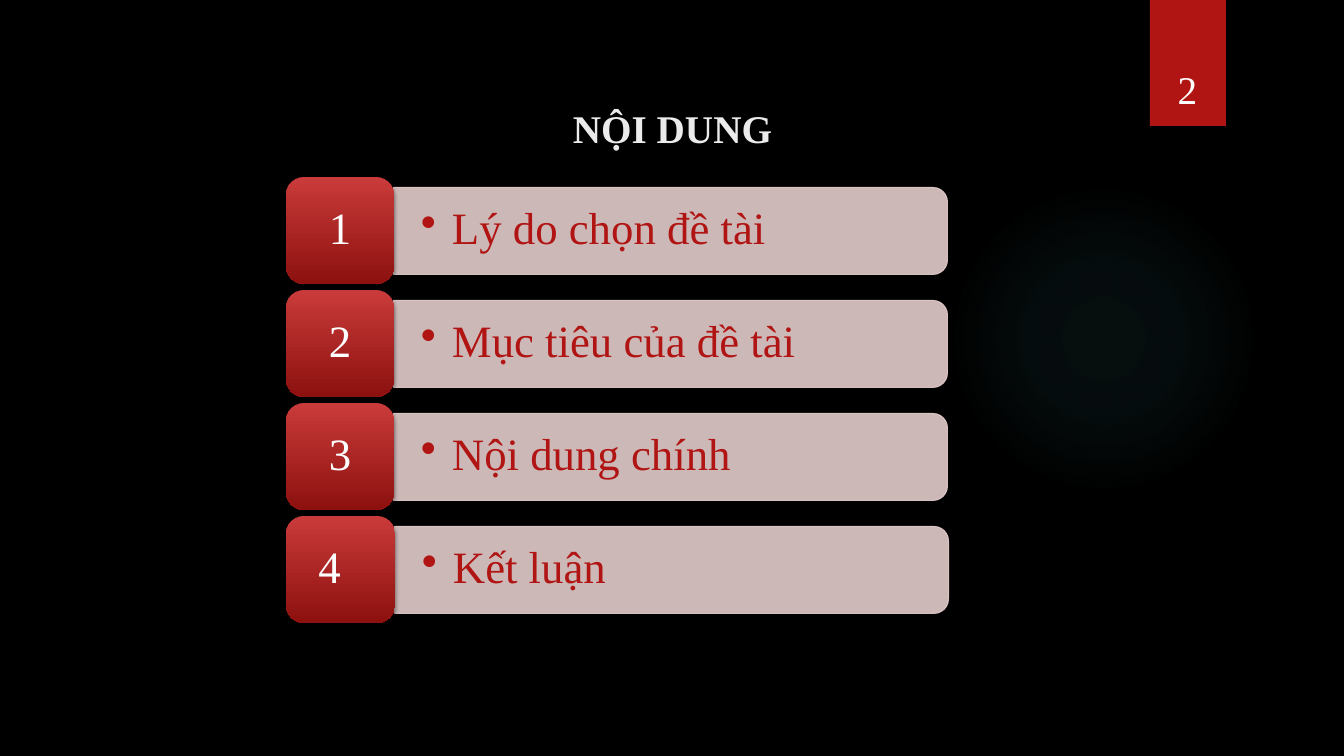
from dataclasses import dataclass
from typing import Optional

from lxml.etree import SubElement
from pptx import Presentation
from pptx.dml.color import RGBColor
from pptx.enum.shapes import MSO_SHAPE as Preset
from pptx.enum.text import MSO_ANCHOR as Anchor, MSO_AUTO_SIZE as AutoSize, PP_ALIGN as Align
from pptx.oxml.ns import qn
from pptx.util import Emu, Pt

PX = 12192000 / 1344


@dataclass(frozen=True)
class Theme:
    font: str = "Times New Roman"
    background: str = "000000"
    title: str = "EBEBEB"
    accent: str = "B01513"
    badge_top: str = "C93B3A"
    badge_bottom: str = "8D110F"
    bar: str = "E4CCCC"
    glow: str = "50B9C1"
    shadow: str = "000000"
    light: str = "FFFFFF"
    heading_size: int = 28
    item_size: int = 32


@dataclass(frozen=True)
class Box:
    left: int
    top: int
    width: int
    height: int

    def emu(self) -> list[Emu]:
        return [px(n) for n in (self.left, self.top, self.width, self.height)]

    def turned(self) -> "Box":
        """Frame that covers this box once it is rotated a quarter turn."""
        shift = (self.width - self.height) // 2
        return Box(self.left + shift, self.top - shift, self.height, self.width)


@dataclass(frozen=True)
class Stop:
    position: int
    color: str
    alpha: int = 100


@dataclass(frozen=True)
class Topic:
    number: str
    text: str
    badge_width: int = 108
    right_inset: int = 13


THEME = Theme()
TOPICS = [
    Topic("1", "Lý do chọn đề tài"),
    Topic("2", "Mục tiêu của đề tài"),
    Topic("3", "Nội dung chính"),
    Topic("4", "Kết luận", badge_width=109, right_inset=35),
]
BADGE_LEFT, BADGE_TOP, BADGE_HEIGHT, PITCH = 286, 177, 107, 113
BAR_WIDTH, BAR_HEIGHT = 554, 87


def px(count: int) -> Emu:
    return Emu(round(count * PX))


# Fill and effect helpers
def add_color(parent, color: str, alpha: int) -> None:
    node = SubElement(parent, qn("a:srgbClr"), val=color)
    if alpha < 100:
        SubElement(node, qn("a:alpha"), val=str(alpha * 1000))


def fill_gradient(shape, stops: list[Stop], circular: bool = False) -> None:
    shape.fill.solid()
    solid = shape._element.spPr.find(qn("a:solidFill"))
    gradient = SubElement(shape._element.spPr, qn("a:gradFill"), rotWithShape="1")
    stop_list = SubElement(gradient, qn("a:gsLst"))
    for stop in stops:
        node = SubElement(stop_list, qn("a:gs"), pos=str(stop.position * 1000))
        add_color(node, stop.color, stop.alpha)
    if circular:
        circle = SubElement(gradient, qn("a:path"), path="circle")
        SubElement(circle, qn("a:fillToRect"), l="50000", t="50000", r="50000", b="50000")
    else:
        SubElement(gradient, qn("a:lin"), ang="5400000", scaled="0")
    solid.getparent().replace(solid, gradient)


def paint(color_format, color: str, alpha: int) -> None:
    color_format.solid()
    color_format.fore_color.rgb = RGBColor.from_string(color)
    if alpha < 100:
        node = color_format._xPr.find(qn("a:solidFill"))[0]
        SubElement(node, qn("a:alpha"), val=str(alpha * 1000))


def add_shape(page, preset: Preset, box: Box, fill: Optional[str] = None,
              alpha: int = 100, outlined: bool = False, shadow: bool = True):
    shape = page.shapes.add_shape(preset, *box.emu())
    if fill:
        paint(shape.fill, fill, alpha)
    if outlined:
        paint(shape.line.fill, fill, alpha)
        shape.line.width = Pt(0.75)
    else:
        shape.line.fill.background()
    shape.shadow.inherit = False
    if shadow:
        effects = shape._element.spPr.find(qn("a:effectLst"))
        drop = SubElement(effects, qn("a:outerShdw"), blurRad=str(Pt(3)),
                          dist=str(Pt(2)), dir="5400000", rotWithShape="0")
        add_color(drop, THEME.shadow, 45)
    return shape


# Text
def write(shape, text: str, *, size: int, color: str, bold: bool = False,
          align: Align = Align.CENTER, anchor: Anchor = Anchor.MIDDLE,
          insets: tuple[int, int, int, int] = (10, 5, 10, 5),
          spacing: float = 1.0, bullet_indent: int = 0) -> None:
    frame = shape.text_frame
    frame.word_wrap = True
    frame.auto_size = AutoSize.NONE
    frame.vertical_anchor = anchor
    (frame.margin_left, frame.margin_top,
     frame.margin_right, frame.margin_bottom) = map(px, insets)
    para = frame.paragraphs[0]
    para.alignment = align
    para.line_spacing = spacing
    if bullet_indent:
        properties = para._p.get_or_add_pPr()
        properties.set("marL", str(px(bullet_indent)))
        properties.set("indent", str(-px(bullet_indent)))
        SubElement(properties, qn("a:buChar"), char="•")
    span = para.add_run()
    span.text = text
    span.font.name = THEME.font
    span.font.size = Pt(size)
    span.font.bold = bold
    span.font.color.rgb = RGBColor.from_string(color)


def add_topic(page, topic: Topic, top: int) -> None:
    badge_box = Box(BADGE_LEFT, top, topic.badge_width, BADGE_HEIGHT)
    bar_box = Box(BADGE_LEFT + topic.badge_width, top + (BADGE_HEIGHT - BAR_HEIGHT) // 2,
                  BAR_WIDTH, BAR_HEIGHT)

    bar = add_shape(page, Preset.ROUND_2_SAME_RECTANGLE, bar_box.turned(),
                    THEME.bar, alpha=90, outlined=True)
    bar.rotation = 90
    label = page.shapes.add_textbox(*bar_box.emu())
    write(label, topic.text, size=THEME.item_size, color=THEME.accent, align=Align.LEFT,
          insets=(27, 14, 27, 14), spacing=0.9, bullet_indent=31)

    badge = add_shape(page, Preset.ROUNDED_RECTANGLE, badge_box)
    fill_gradient(badge, [Stop(0, THEME.badge_top), Stop(100, THEME.badge_bottom)])
    write(badge, topic.number, size=THEME.item_size, color=THEME.light,
          insets=(13, 7, topic.right_inset, 7), spacing=0.9)


def main() -> None:
    deck = Presentation()
    deck.slide_width, deck.slide_height = px(1344), px(756)
    page = deck.slides.add_slide(deck.slide_layouts[5])
    paint(page.background.fill, THEME.background, 100)

    # Title
    title = page.shapes.title
    title.left, title.top, title.width, title.height = Box(219, 78, 907, 99).emu()
    write(title, "NỘI DUNG", size=THEME.heading_size, color=THEME.title, bold=True)

    # Background glow
    glow = add_shape(page, Preset.OVAL, Box(949, 184, 310, 310), shadow=False)
    fill_gradient(glow, [Stop(0, THEME.glow, 7), Stop(36, THEME.glow, 6),
                         Stop(69, THEME.glow, 0)], circular=True)

    # Page number ribbon
    add_shape(page, Preset.RECTANGLE, Box(1150, 0, 76, 126), THEME.accent)
    number = page.shapes.add_textbox(*Box(1141, 32, 93, 85).emu())
    write(number, "2", size=THEME.heading_size, color=THEME.light, anchor=Anchor.BOTTOM)

    # Topic list
    for index, topic in enumerate(TOPICS):
        add_topic(page, topic, BADGE_TOP + index * PITCH)

    deck.save("out.pptx")


if __name__ == "__main__":
    main()
